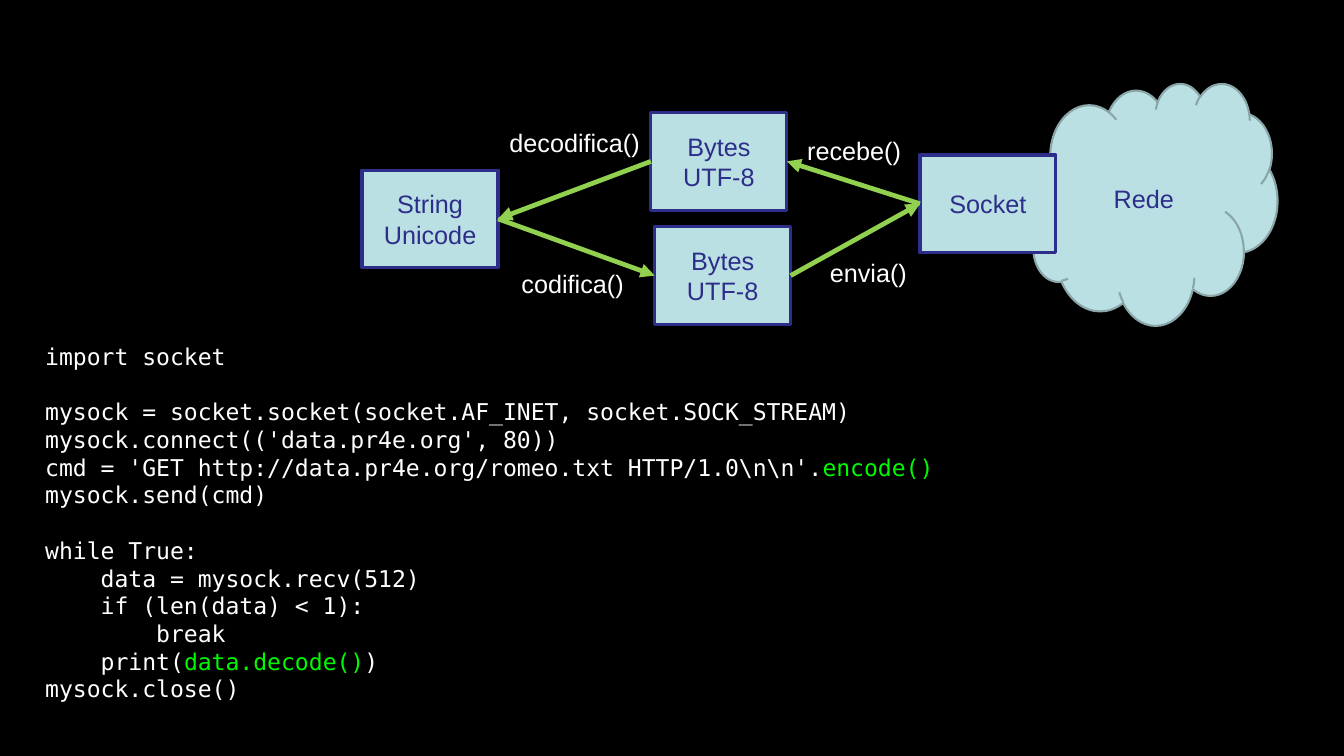
from dataclasses import dataclass

from lxml import etree
from pptx import Presentation
from pptx.dml.color import RGBColor
from pptx.enum.shapes import MSO_CONNECTOR, MSO_SHAPE
from pptx.enum.text import MSO_ANCHOR, MSO_AUTO_SIZE, PP_ALIGN
from pptx.oxml.ns import qn
from pptx.util import Inches, Pt

RECTANGLE, CLOUD = MSO_SHAPE.RECTANGLE, MSO_SHAPE.CLOUD
STRAIGHT = MSO_CONNECTOR.STRAIGHT
MIDDLE, CENTER = MSO_ANCHOR.MIDDLE, PP_ALIGN.CENTER
FIT_SHAPE = MSO_AUTO_SIZE.SHAPE_TO_FIT_TEXT

SLIDE_WIDTH, SLIDE_HEIGHT = Inches(17.78), Inches(10)
COLUMN, ROW = SLIDE_WIDTH / 100, SLIDE_HEIGHT / 100  # 100 x 100 grid
LEFT_SITE, RIGHT_SITE = 1, 3  # connection sites of a rectangle

BODY_FONT, CODE_FONT = "Arial", "DejaVu Sans Mono"
BODY_SIZE, CODE_SIZE, CODE_LINE = Pt(24), Pt(22), Pt(26.3)
COLORS = {
    "background": "000000",
    "text": "FFFFFF",
    "highlight": "00FA00",
    "box": "BBE0E3",
    "outline": "2D2D8A",
    "cloud outline": "8AA6A8",
    "arrow": "92D050",
}


@dataclass(frozen=True)
class Area:
    column: float
    row: float
    columns: float
    rows: float

    def emu(self):
        return (round(self.column * COLUMN), round(self.row * ROW),
                round(self.columns * COLUMN), round(self.rows * ROW))


@dataclass(frozen=True)
class Node:
    lines: tuple[str, ...]
    area: Area
    preset: int = RECTANGLE
    outline: str = "outline"
    weight: float = 3


@dataclass(frozen=True)
class Step:
    """An arrow between two nodes, with its method name beside it."""
    source: str
    target: str
    sites: tuple[int, int]
    label: str
    label_area: Area


def box_area(column: float, row: float) -> Area:
    return Area(column, row, 10.12, 12.9)


NODES = {
    "network": Node(("Rede",), Area(76.49, 11, 18.56, 32), CLOUD, "cloud outline", 2),
    "socket": Node(("Socket",), box_area(68.45, 20.5)),
    "received": Node(("Bytes", "UTF-8"), box_area(48.43, 14.9)),
    "string": Node(("String", "Unicode"), box_area(26.94, 22.5)),
    "sent": Node(("Bytes", "UTF-8"), box_area(48.71, 30)),
}

RIGHTWARD, LEFTWARD = (RIGHT_SITE, LEFT_SITE), (LEFT_SITE, RIGHT_SITE)
STEPS = (
    Step("string", "sent", RIGHTWARD, "codifica()", Area(38.25, 35, 8.83, 5)),
    Step("socket", "received", LEFTWARD, "recebe()", Area(59.51, 17.4, 8.21, 5)),
    Step("sent", "socket", RIGHTWARD, "envia()", Area(61.19, 33.6, 6.92, 5)),
    Step("received", "string", LEFTWARD, "decodifica()", Area(37.35, 16.4, 10.91, 5)),
)

CODE_AREA = Area(2.81, 44.8, 69.97, 49.1)
HIGHLIGHTS = ("data.decode()", "encode()")
CODE = r"""import socket

mysock = socket.socket(socket.AF_INET, socket.SOCK_STREAM)
mysock.connect(('data.pr4e.org', 80))
cmd = 'GET http://data.pr4e.org/romeo.txt HTTP/1.0\n\n'.encode()
mysock.send(cmd)

while True:
    data = mysock.recv(512)
    if (len(data) < 1):
        break
    print(data.decode())
mysock.close()"""


def color(name: str) -> RGBColor:
    return RGBColor.from_string(COLORS[name])


def set_font(font, family: str, size: int, color_name: str) -> None:
    font.name, font.size = family, size
    font.color.rgb = color(color_name)


def draw_node(slide, node: Node):
    shape = slide.shapes.add_shape(node.preset, *node.area.emu())
    shape.shadow.inherit = False
    shape.fill.solid()
    shape.fill.fore_color.rgb = color("box")
    shape.line.color.rgb = color(node.outline)
    shape.line.width = Pt(node.weight)
    frame = shape.text_frame
    frame.vertical_anchor = MIDDLE
    frame.text = "\n".join(node.lines)
    for paragraph in frame.paragraphs:
        paragraph.alignment = CENTER
        set_font(paragraph.font, BODY_FONT, BODY_SIZE, "outline")
    return shape


def draw_arrow(slide, step: Step, shapes: dict) -> None:
    arrow = slide.shapes.add_connector(STRAIGHT, 0, 0, 0, 0)
    arrow.begin_connect(shapes[step.source], step.sites[0])
    arrow.end_connect(shapes[step.target], step.sites[1])
    arrow.line.color.rgb = color("arrow")
    arrow.line.width = Pt(4.5)
    etree.SubElement(arrow.line._get_or_add_ln(), qn("a:tailEnd"), type="triangle")
    etree.SubElement(arrow._element.spPr, qn("a:effectLst"))


def add_text_frame(slide, area: Area, wrap: bool):
    frame = slide.shapes.add_textbox(*area.emu()).text_frame
    frame.word_wrap = wrap
    frame.auto_size = FIT_SHAPE
    return frame


def draw_label(slide, step: Step) -> None:
    paragraph = add_text_frame(slide, step.label_area, False).paragraphs[0]
    paragraph.text = step.label
    set_font(paragraph.font, BODY_FONT, BODY_SIZE, "text")


def split_highlight(line: str) -> list[tuple[str, str]]:
    for call in HIGHLIGHTS:
        if call in line:
            before, after = line.split(call)
            return [(before, "text"), (call, "highlight"), (after, "text")]
    return [(line, "text")]


def draw_code(slide, code: str, area: Area) -> None:
    frame = add_text_frame(slide, area, True)
    for block_number, block in enumerate(code.split("\n\n")):
        for line_number, line in enumerate(block.split("\n")):
            first = block_number == line_number == 0
            paragraph = frame.paragraphs[0] if first else frame.add_paragraph()
            if block_number and not line_number:
                paragraph.space_before = CODE_LINE
            set_font(paragraph.font, CODE_FONT, CODE_SIZE, "text")
            for text, color_name in split_highlight(line):
                if text:
                    run = paragraph.add_run()
                    run.text = text
                    set_font(run.font, CODE_FONT, CODE_SIZE, color_name)


def main() -> None:
    presentation = Presentation()
    presentation.slide_width, presentation.slide_height = SLIDE_WIDTH, SLIDE_HEIGHT
    slide = presentation.slides.add_slide(presentation.slide_layouts[6])
    slide.background.fill.solid()
    slide.background.fill.fore_color.rgb = color("background")

    # Diagram: nodes, then arrows, then method names
    shapes = {key: draw_node(slide, node) for key, node in NODES.items()}
    for step in STEPS:
        draw_arrow(slide, step, shapes)
    for step in STEPS:
        draw_label(slide, step)

    # Program listing
    draw_code(slide, CODE, CODE_AREA)
    presentation.save("out.pptx")


if __name__ == "__main__":
    main()
